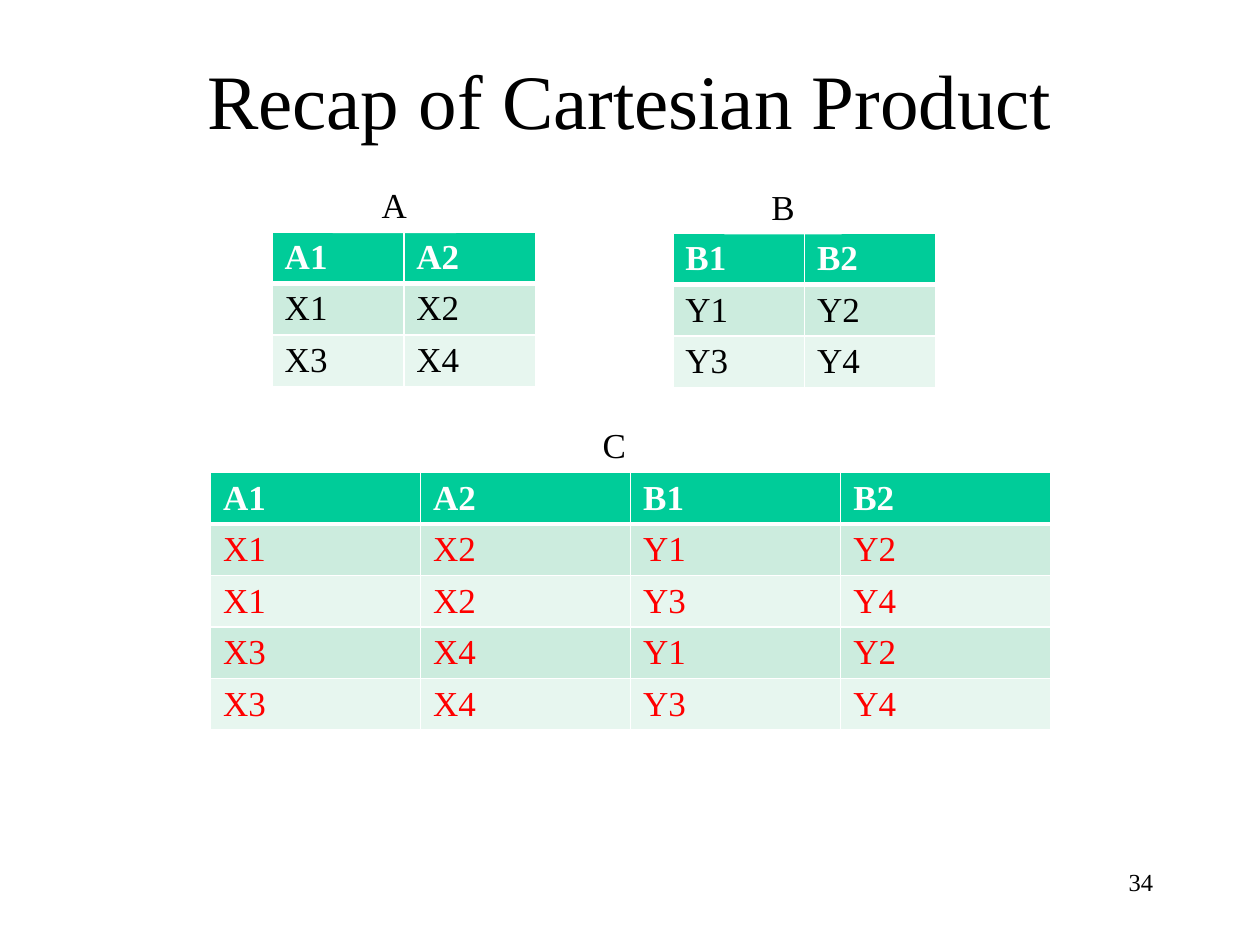
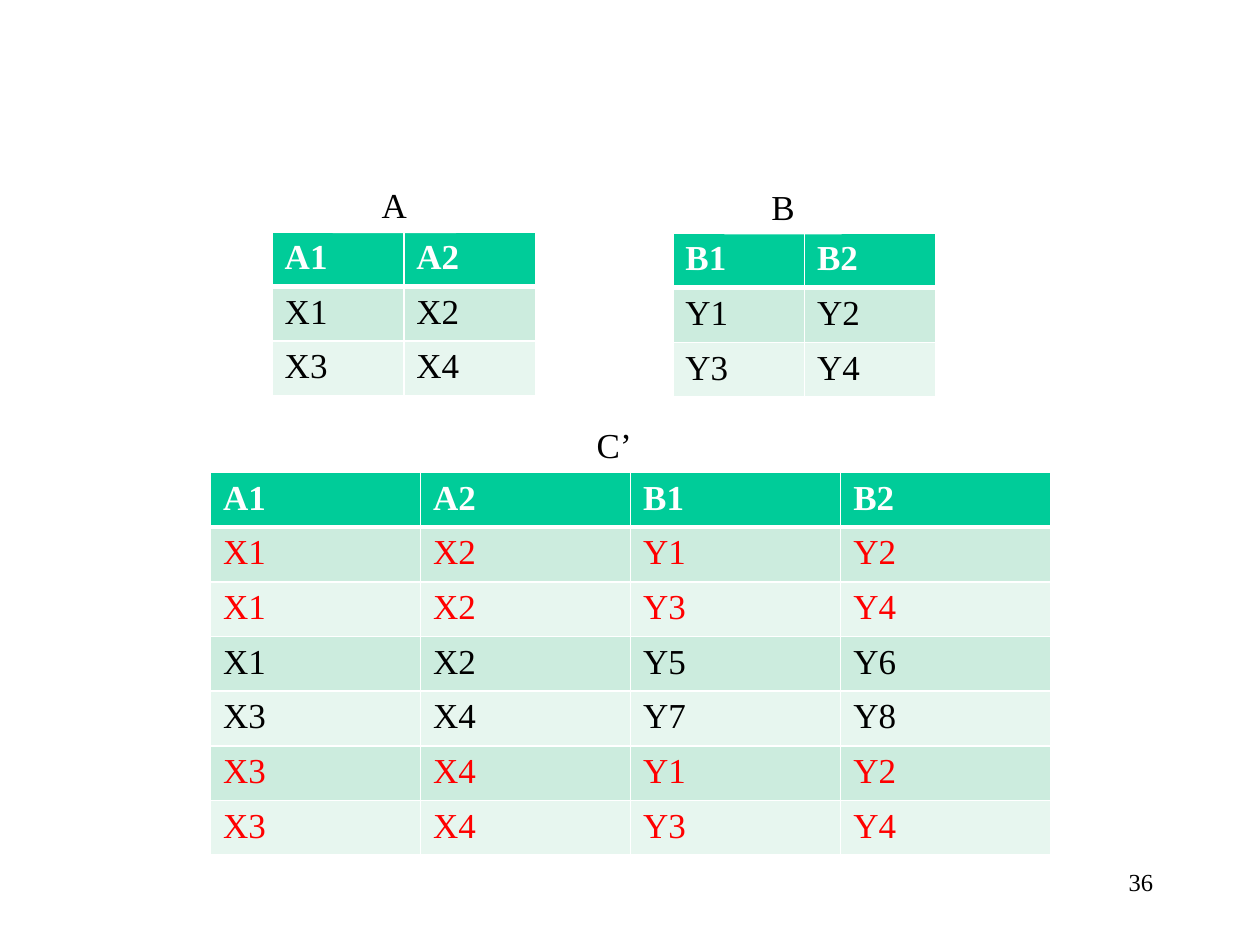
from itertools import product

from lxml import etree
from pptx import Presentation, util as u
from pptx.dml.color import RGBColor
from pptx.enum import shapes, text
from pptx.oxml import ns

COLORS = {
    "ink": "000000",
    "paper": "FFFFFF",
    "header": "00CC99",
    "band_dark": "CCECDE",
    "band_light": "E7F6EF",
    "match": "FF0000",
}
FONT = "Times New Roman"
TITLE_ONLY, BLANK = 5, 6
ROW_HEIGHT = u.Inches(1.22) // 3

A_HEAD, B_HEAD = ("A1", "A2"), ("B1", "B2")
A_ROWS = [("X1", "X2"), ("X3", "X4")]
B_ROWS = [("Y1", "Y2"), ("Y3", "Y4")]
PRODUCT_ROWS = [a + b for a, b in product(A_ROWS, B_ROWS)]
EXTRA_ROWS = [("X1", "X2", "Y5", "Y6"), ("X3", "X4", "Y7", "Y8")]


def rgb(name):
    return RGBColor.from_string(COLORS[name])


class SlideBuilder:
    def __init__(self, deck):
        self.deck = deck
        self.slide = None

    def add_slide(self, layout):
        self.slide = self.deck.slides.add_slide(self.deck.slide_layouts[layout])

    def style(self, paragraph, size, color="ink", bold=False, align=None):
        paragraph.alignment = align
        font = paragraph.font
        font.name, font.size, font.bold = FONT, u.Pt(size), bold
        font.color.rgb = rgb(color)

    def title(self, words):
        title = self.slide.shapes.title
        title.left, title.top = u.Inches(0.75), u.Inches(0.16)
        title.width, title.height = u.Inches(8.5), u.Inches(1.25)
        title.text_frame.text = words
        title.text_frame.vertical_anchor = text.MSO_ANCHOR.MIDDLE
        self.style(title.text_frame.paragraphs[0], 44, align=text.PP_ALIGN.CENTER)

    def page_number(self, number):
        box = self.slide.shapes.add_textbox(
            u.Inches(7.17), u.Inches(6.83), u.Inches(2.08), u.Inches(0.5))
        box.text_frame.word_wrap = True
        box.text_frame.text = str(number)
        self.style(box.text_frame.paragraphs[0], 14, align=text.PP_ALIGN.RIGHT)

    def label(self, words, left, top, width):
        box = self.slide.shapes.add_shape(
            shapes.MSO_SHAPE.RECTANGLE,
            u.Inches(left), u.Inches(top), u.Inches(width), u.Inches(0.44))
        box.shadow.inherit = False
        box.fill.solid()
        box.fill.fore_color.rgb = rgb("paper")
        box.line.fill.background()
        frame = box.text_frame
        frame.word_wrap = True
        frame.vertical_anchor = text.MSO_ANCHOR.TOP
        frame.text = words
        self.style(frame.paragraphs[0], 20, align=text.PP_ALIGN.CENTER)

    def borders(self, cell, top, bottom):
        properties = cell._tc.get_or_add_tcPr()
        widths = {"lnL": 1, "lnR": 1, "lnT": top, "lnB": bottom}
        for index, (side, width) in enumerate(widths.items()):
            line = etree.Element(ns.qn(f"a:{side}"), w=str(u.Pt(width)))
            fill = etree.SubElement(line, ns.qn("a:solidFill"))
            etree.SubElement(fill, ns.qn("a:srgbClr"), val=COLORS["paper"])
            properties.insert(index, line)

    def table(self, head, rows, left, top, width, matches=()):
        grid = [head, *rows]
        table = self.slide.shapes.add_table(
            len(grid), len(head), u.Inches(left), u.Inches(top),
            u.Inches(width), ROW_HEIGHT * len(grid)).table
        for r, values in enumerate(grid):
            table.rows[r].height = ROW_HEIGHT
            if r == 0:
                fill, color = "header", "paper"
            else:
                fill = "band_dark" if r % 2 else "band_light"
                color = "match" if values in matches else "ink"
            for c, value in enumerate(values):
                cell = table.cell(r, c)
                cell.text = value
                cell.fill.solid()
                cell.fill.fore_color.rgb = rgb(fill)
                self.borders(cell, 3 if r == 1 else 1, 3 if r == 0 else 1)
                self.style(cell.text_frame.paragraphs[0], 20, color, r == 0)

    def relations(self, result_name, result_rows):
        self.table(A_HEAD, A_ROWS, 2.16, 1.84, 2.09)
        self.table(B_HEAD, B_ROWS, 5.34, 1.85, 2.09)
        self.table(A_HEAD + B_HEAD, result_rows, 1.67, 3.75, 6.67, PRODUCT_ROWS)
        self.label("A", 2.64, 1.41, 0.98)
        self.label("B", 5.75, 1.42, 0.93)
        self.label(result_name, 4.33, 3.31, 1.09)


def main():
    deck = Presentation()
    deck.slide_width, deck.slide_height = u.Inches(10), u.Inches(7.5)
    builder = SlideBuilder(deck)

    builder.add_slide(TITLE_ONLY)
    builder.relations("C", PRODUCT_ROWS)
    builder.title("Recap of Cartesian Product")
    builder.page_number(34)

    builder.add_slide(BLANK)
    builder.relations("C’", PRODUCT_ROWS[:2] + EXTRA_ROWS + PRODUCT_ROWS[2:])
    builder.page_number(36)

    deck.save("out.pptx")


if __name__ == "__main__":
    main()
